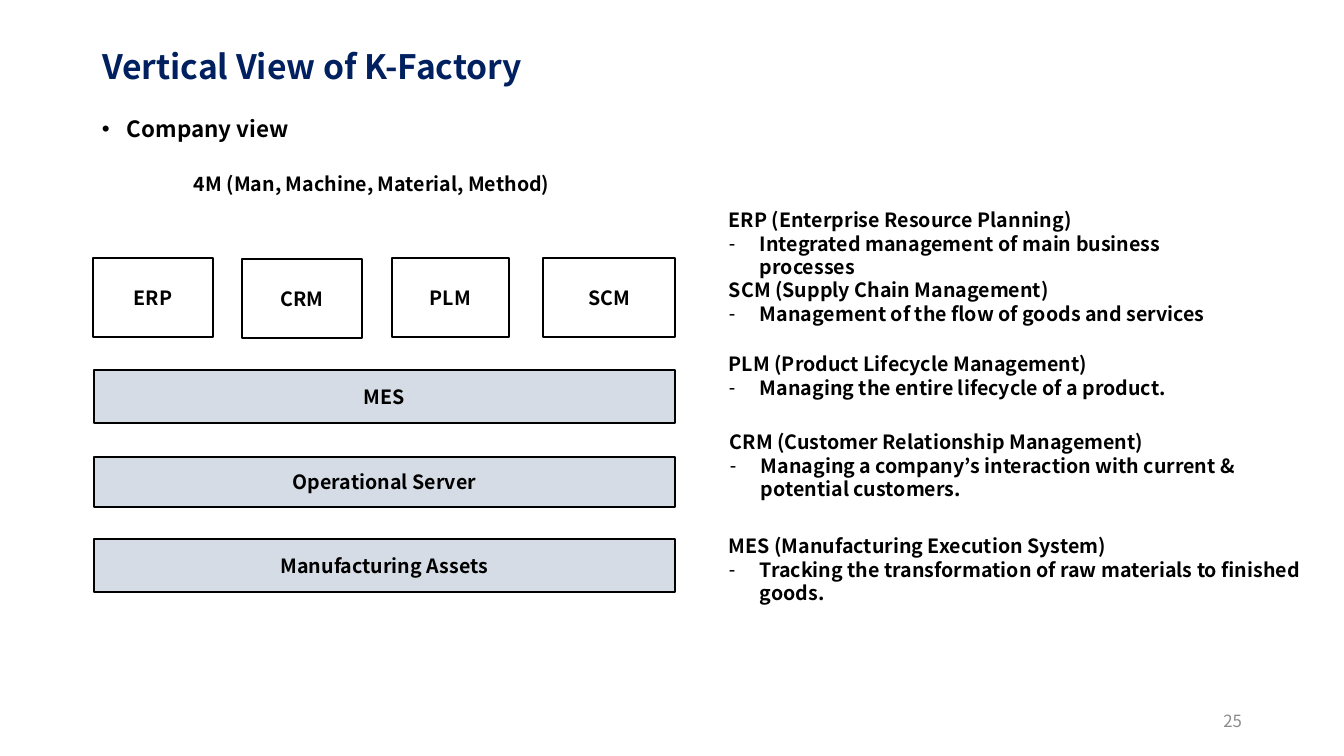
import pptx
import pptx.dml.color
import pptx.enum.shapes
import pptx.enum.text
import pptx.oxml
import pptx.oxml.ns
import pptx.util

PX = 914400 / 100.8
FONT = "Noto Sans CJK KR"
ALIGN = pptx.enum.text.PP_ALIGN
MIDDLE = pptx.enum.text.MSO_ANCHOR.MIDDLE


def px(*lengths):
    return [pptx.util.Emu(round(length * PX)) for length in lengths]


def write(paragraph, text, size, color="000000", bold=True, align=ALIGN.LEFT, bullet=None, indent=0):
    if bullet:
        properties = paragraph._p.get_or_add_pPr()
        hang = px(indent)[0]
        properties.set("marL", str(hang))
        properties.set("indent", str(-hang))
        for tag, attribute, value in (("buFont", "typeface", "Arial"), ("buChar", "char", bullet)):
            mark = pptx.oxml.ns.qn(f"a:{tag}")
            properties.append(properties.makeelement(mark, {attribute: value}))
    paragraph.alignment = align
    run = paragraph.add_run()
    run.text = text
    run.font.name = FONT
    run.font.size = pptx.util.Pt(size)
    run.font.bold = bold
    run.font.color.rgb = pptx.dml.color.RGBColor.from_string(color)


deck = pptx.Presentation()
deck.slide_width, deck.slide_height = px(1344, 756)
slide = deck.slides.add_slide(deck.slide_layouts[5])

title = slide.shapes.title
title.left, title.top, title.width, title.height = px(92, 45, 1159, 47)
title.text_frame.vertical_anchor = MIDDLE
title.text_frame.paragraphs[0].line_spacing = 0.9
write(title.text_frame.paragraphs[0], "Vertical View of K-Factory", 24, "002060")

view = slide.shapes.add_textbox(*px(92, 113, 1159, 40)).text_frame
view.word_wrap = True
write(view.paragraphs[0], "Company view", 16, bullet="•", indent=25)
view.paragraphs[0].line_spacing = 0.9

resources = slide.shapes.add_textbox(*px(184, 167, 382, 34)).text_frame
write(resources.paragraphs[0], "4M (Man, Machine, Material, Method)", 14)

layers = [
    ("ERP", 93, 258, 120, 79, None),
    ("CRM", 242, 259, 120, 79, None),
    ("PLM", 392, 258, 117, 79, None),
    ("SCM", 543, 258, 132, 79, None),
    ("MES", 94, 370, 581, 53, "D6DCE5"),
    ("Operational Server", 94, 457, 581, 50, "D6DCE5"),
    ("Manufacturing Assets", 94, 539, 581, 53, "D6DCE5"),
]
for label, left, top, width, height, fill in layers:
    layer = slide.shapes.add_shape(
        pptx.enum.shapes.MSO_SHAPE.RECTANGLE, *px(left, top, width, height))
    layer.shadow.inherit = False
    if fill:
        layer.fill.solid()
        layer.fill.fore_color.rgb = pptx.dml.color.RGBColor.from_string(fill)
    else:
        layer.fill.background()
    layer.line.color.rgb = pptx.dml.color.RGBColor.from_string("000000")
    layer.line.width = pptx.util.Pt(1)
    layer.text_frame.vertical_anchor = MIDDLE
    write(layer.text_frame.paragraphs[0], label, 14, align=ALIGN.CENTER)

definitions = [
    ("ERP (Enterprise Resource Planning)",
     "Integrated management of main business processes", 719, 203, 546, 57),
    ("SCM (Supply Chain Management)",
     "Management of the flow of goods and services", 719, 273, 503, 57),
    ("PLM (Product Lifecycle Management)",
     "Managing the entire lifecycle of a product.", 719, 347, 459, 57),
    ("CRM (Customer Relationship Management)",
     "Managing a company’s interaction with current & potential customers.", 720, 425, 543, 82),
    ("MES (Manufacturing Execution System)",
     "Tracking the transformation of raw materials to finished goods.", 719, 529, 598, 82),
]
for term, meaning, left, top, width, height in definitions:
    definition = slide.shapes.add_textbox(*px(left, top, width, height)).text_frame
    definition.word_wrap = True
    write(definition.paragraphs[0], term, 14)
    write(definition.add_paragraph(), meaning, 14, bullet="-", indent=31)

number = slide.shapes.add_textbox(*px(950, 701, 302, 40)).text_frame
number.word_wrap = True
number.vertical_anchor = MIDDLE
write(number.paragraphs[0], "25", 12, "8C8C8C", bold=False, align=ALIGN.RIGHT)

deck.save("out.pptx")
